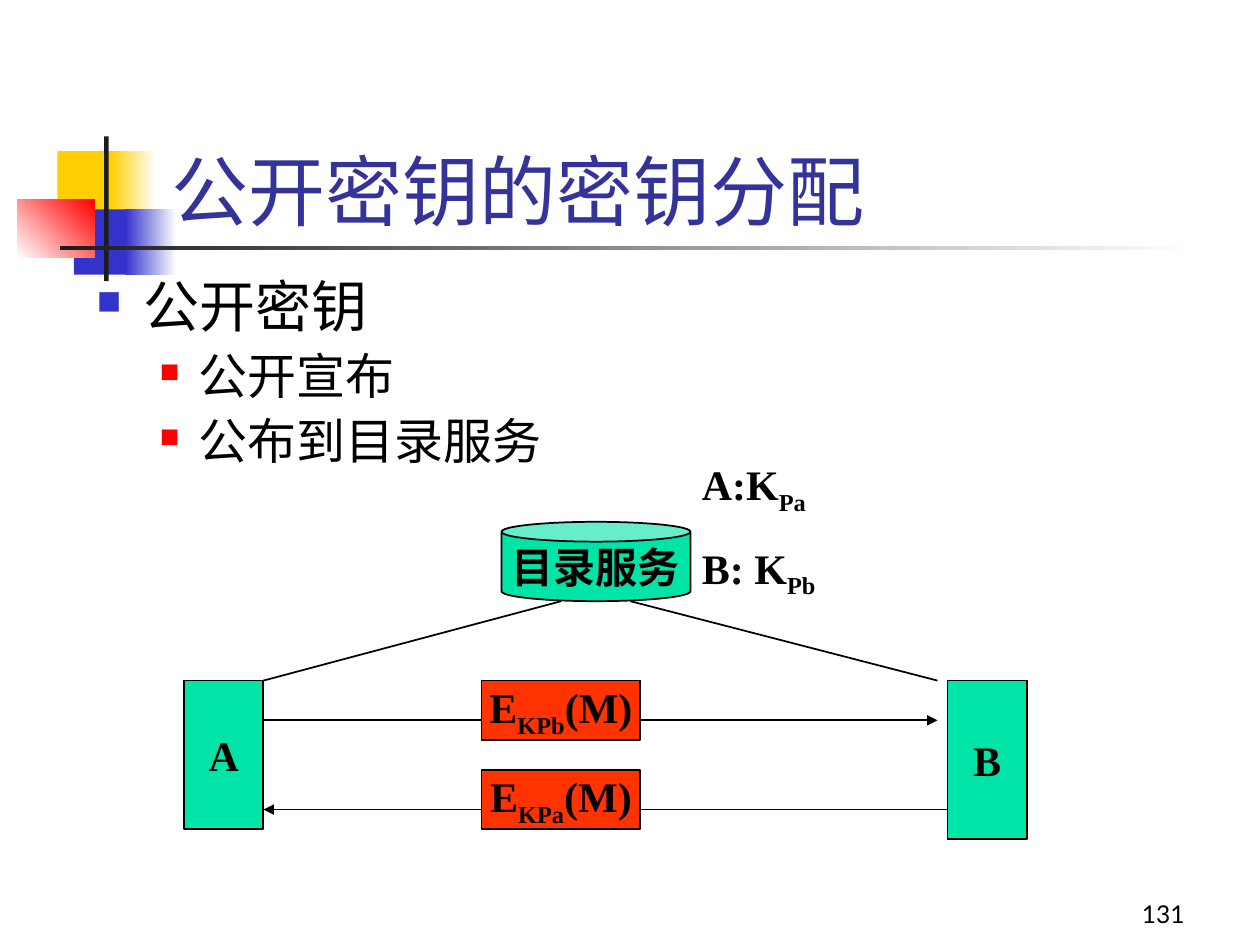
from lxml import etree
from pptx import Presentation
from pptx import util as u
from pptx.dml.color import RGBColor
from pptx.enum import shapes, text
from pptx.oxml import ns

COLORS = {
    "yellow": "FFCF01", "blue": "3333CC", "red": "FF0000", "white": "FFFFFF",
    "dark": "1C1C1C", "title": "333399", "black": "000000",
    "node": "00E4A8", "message": "FF3300",
}


def rgb(name):
    return RGBColor.from_string(COLORS[name])


def lengths(*values):
    return [u.Cm(value) for value in values]


def style(font, size, name="Lato", color="black", bold=False):
    font.size = u.Pt(size)
    font.name = name
    font.bold = bold
    font.color.rgb = rgb(color)


def add_text(page, box, words):
    label = page.shapes.add_textbox(*lengths(*box))
    label.text_frame.word_wrap = True
    label.text_frame.text = words
    return label.text_frame


def add_shape(page, kind, box):
    shape = page.shapes.add_shape(kind, *lengths(*box))
    shape.shadow.inherit = False
    return shape


def write_spans(para, parts):
    for index, words in enumerate(parts):
        span = para.add_run()
        span.text = words
        style(span.font, 24, "Times New Roman", bold=True)
        if index % 2:
            span._r.get_or_add_rPr().set("baseline", "-25000")


def draw_ornament(page, left, top):
    blocks = [
        (0.81, 0.3, 1.22, 1.32, ["yellow"], 0),
        (2.24 - 0.36, 0.3, 0.91, 1.32, ["yellow", "white"], 0),
        (1.14, 1.47, 1.17, 1.32, ["blue"], 0),
        (2.18, 1.47, 1.02, 1.32, ["blue", "white"], 0),
        (0, 1.27, 1.55, 1.17, ["white", "red"], 45),
        (1.75, 0, 0.09, 2.92, ["dark"], 0),
        (0.86, 2.2, 22.86, 0.09, ["dark", "white"], 0),
    ]
    for x, y, width, height, colors, angle in blocks:
        block = add_shape(page, shapes.MSO_SHAPE.RECTANGLE,
                          (left + x, top + y, width, height))
        block.line.fill.background()
        if len(colors) == 1:
            block.fill.solid()
            block.fill.fore_color.rgb = rgb(colors[0])
        else:
            block.fill.gradient()
            block.fill.gradient_angle = angle
            for stop, color in zip(block.fill.gradient_stops, colors):
                stop.color.rgb = rgb(color)


def write_title(page, box):
    frame = add_text(page, box, "公开密钥的密钥分配")
    frame.vertical_anchor = text.MSO_ANCHOR.BOTTOM
    style(frame.paragraphs[0].runs[0].font, 44, color="title")


def write_number(page, box):
    frame = add_text(page, box, "131")
    frame.vertical_anchor = text.MSO_ANCHOR.BOTTOM
    frame.paragraphs[0].alignment = text.PP_ALIGN.RIGHT
    style(frame.paragraphs[0].runs[0].font, 14)


def add_bullet(para, color, percent, margin, hanging):
    props = para._p.get_or_add_pPr()
    props.set("marL", str(u.Cm(margin)))
    props.set("indent", str(-u.Cm(hanging)))
    tint = etree.SubElement(props, ns.qn("a:buClr"))
    etree.SubElement(tint, ns.qn("a:srgbClr"), val=COLORS[color])
    etree.SubElement(props, ns.qn("a:buSzPct"), val=str(percent * 1000))
    etree.SubElement(props, ns.qn("a:buChar"), char="■")


def write_bullets(page, box):
    levels = [("blue", 60, 0.95, 0.95, 32), ("red", 55, 2.06, 0.79, 28)]
    frame = add_text(page, box, "公开密钥\n公开宣布\n公布到目录服务")
    for index, para in enumerate(frame.paragraphs):
        para.level = min(index, 1)
        *bullet, size = levels[para.level]
        add_bullet(para, *bullet)
        para.line_spacing = 0.9
        if index:
            para.space_before = u.Pt(7)
        style(para.runs[0].font, size)


def draw_node(page, kind, box, color, parts):
    node = add_shape(page, kind, box)
    node.fill.solid()
    node.fill.fore_color.rgb = rgb(color)
    node.line.color.rgb = rgb("black")
    node.line.width = u.Pt(1)
    frame = node.text_frame
    frame.word_wrap = False
    frame.vertical_anchor = text.MSO_ANCHOR.MIDDLE
    frame.paragraphs[0].alignment = text.PP_ALIGN.CENTER
    write_spans(frame.paragraphs[0], parts)
    return node


def draw_line(page, start, end, arrow=False):
    line = page.shapes.add_connector(shapes.MSO_CONNECTOR.STRAIGHT,
                                     *lengths(*start, *end))
    line.line.color.rgb = rgb("black")
    line.line.width = u.Pt(1)
    if arrow:
        etree.SubElement(line.line._get_or_add_ln(), ns.qn("a:tailEnd"),
                         type="triangle")
    etree.SubElement(line._element.spPr, ns.qn("a:effectLst"))


def draw_exchange(page, left, top):
    def at(x, y, *size):
        return (left + x, top + y, *size)

    rect = shapes.MSO_SHAPE.RECTANGLE
    draw_node(page, rect, at(0, 4.6, 1.6, 3), "node", ["A"])
    draw_node(page, rect, at(15.39, 4.6, 1.6, 3.2), "node", ["B"])
    directory = draw_node(page, shapes.MSO_SHAPE.CAN, at(6.4, 1.4, 3.81, 1.6),
                          "node", ["目录服务"])
    directory.adjustments[0] = 0.25

    draw_line(page, at(1.6, 4.6), at(7.6, 3))
    draw_line(page, at(9, 3), at(15.19, 4.6))
    draw_line(page, at(1.6, 5.4), at(15.19, 5.4), arrow=True)
    draw_line(page, at(15.39, 7.2), at(1.6, 7.2), arrow=True)
    for y, key in [(4.6, "KPb"), (6.4, "KPa")]:
        draw_node(page, rect, at(6, y, 3.2, 1.2), "message", ["E", key, "(M)"])

    frame = add_text(page, at(10.19, 0, 3.6, 3.1), "")
    write_spans(frame.paragraphs[0], ["A:K", "Pa"])
    second = frame.add_paragraph()
    second.space_before = u.Pt(15)
    write_spans(second, ["B: K", "Pb"])


def main():
    deck = Presentation()
    deck.slide_width, deck.slide_height = lengths(25.4, 19.05)
    page = deck.slides.add_slide(deck.slide_layouts[6])
    draw_ornament(page, 0.35, 2.75)
    write_number(page, (18.85, 17.58, 5.28, 1.27))
    write_title(page, (3.2, 1.7, 21.64, 3.18))
    write_bullets(page, (1.7, 5.51, 20.32, 4.45))
    draw_exchange(page, 3.71, 9.12)
    deck.save("out.pptx")


if __name__ == "__main__":
    main()
